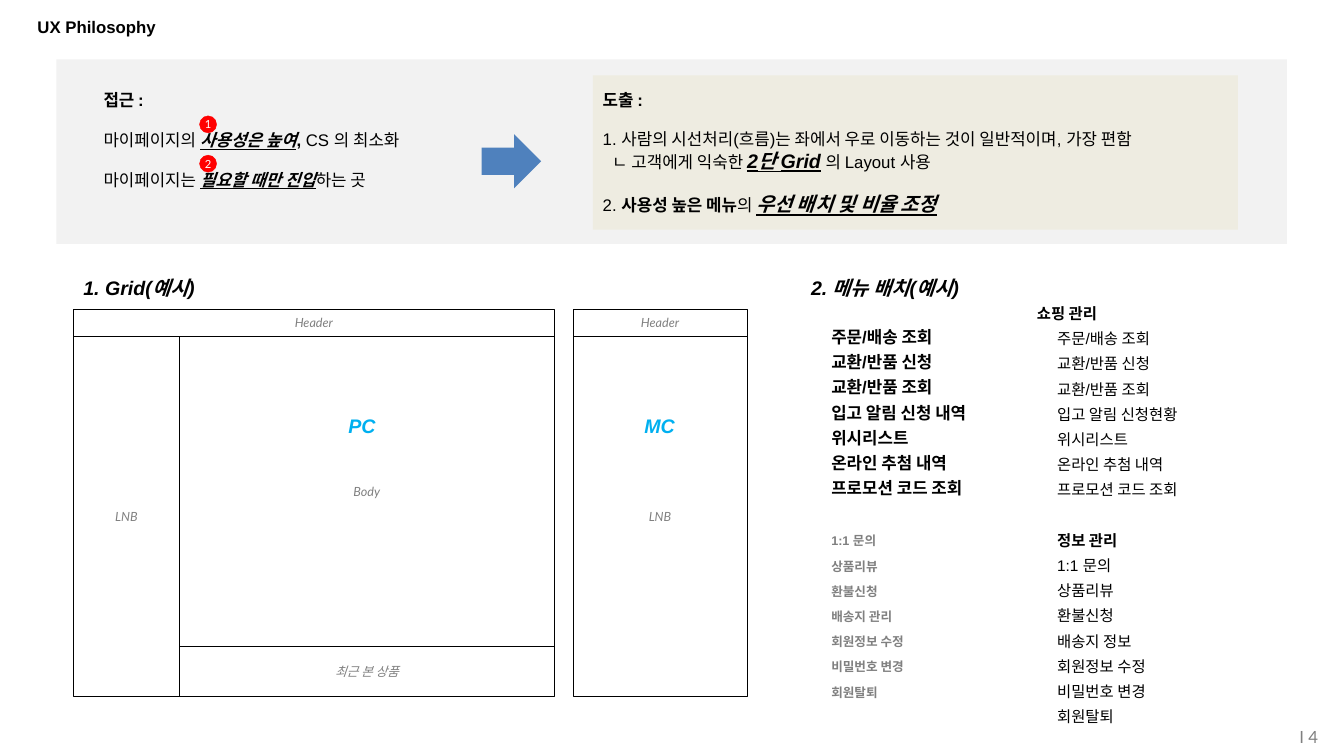
from dataclasses import dataclass

from pptx import Presentation
from pptx.dml.color import RGBColor
from pptx.enum.shapes import MSO_SHAPE
from pptx.enum.text import MSO_ANCHOR, MSO_AUTO_SIZE, PP_ALIGN
from pptx.util import Cm, Pt


@dataclass(frozen=True)
class Theme:
    black: str = "000000"
    white: str = "FFFFFF"
    grey: str = "808080"
    panel: str = "F2F2F2"
    beige: str = "EEECE1"
    blue: str = "4F81BD"
    cyan: str = "00B0F0"
    red: str = "FF0000"
    main_font: str = "Arial"
    label_font: str = "Lato"
    heading: int = 14
    body: int = 12
    menu: int = 11
    small: int = 9
    badge: int = 8


theme = Theme()


def add_box(page, place, kind=None, fill=None, line=None):
    """Add a text box, or a preset shape when a kind is given."""
    lengths = [Cm(value) for value in place]
    if kind is None:
        return page.shapes.add_textbox(*lengths)
    box = page.shapes.add_shape(kind, *lengths)
    box.shadow.inherit = False
    if fill:
        box.fill.solid()
        box.fill.fore_color.rgb = RGBColor.from_string(fill)
    else:
        box.fill.background()
    if line:
        box.line.color.rgb = RGBColor.from_string(line)
        box.line.width = Pt(0.25)
    else:
        box.line.fill.background()
    return box


def write(box, rows, size=theme.body, color=theme.black, font=theme.main_font,
          align=PP_ALIGN.LEFT, anchor=MSO_ANCHOR.MIDDLE, inset=None, leading=None):
    """Rows hold (spans, space before, indent); spans hold (text, marks, size, color).

    Marks are any of b (bold), i (italic) and u (underlined).
    """
    frame = box.text_frame
    frame.word_wrap = True
    frame.auto_size = MSO_AUTO_SIZE.NONE
    frame.vertical_anchor = anchor
    if inset is not None:
        frame.margin_left = frame.margin_right = Cm(inset)
        frame.margin_top = frame.margin_bottom = Cm(inset)
    for index, (spans, gap, indent) in enumerate(rows):
        para = frame.paragraphs[0] if index == 0 else frame.add_paragraph()
        para.alignment = align
        if gap:
            para.space_before = Pt(gap)
        if leading:
            para.line_spacing = Pt(leading)
        if indent:
            para._p.get_or_add_pPr().set("marL", str(Cm(indent)))
        for text, marks, *special in spans:
            span = para.add_run()
            span.text = text
            span.font.name = font
            span.font.size = Pt(special[0] if special else size)
            span.font.color.rgb = RGBColor.from_string(special[1] if special[1:] else color)
            span.font.bold = "b" in marks
            span.font.italic = "i" in marks
            span.font.underline = "u" in marks


deck = Presentation()
deck.slide_width, deck.slide_height = Cm(33.87), Cm(19.05)
page = deck.slides.add_slide(deck.slide_layouts[5])

# Title and page number
title = page.shapes.title
title.left, title.top, title.width, title.height = Cm(0.69), Cm(0.18), Cm(32.49), Cm(0.97)
write(title, [([("UX Philosophy", "b")], 0, 0)])
write(add_box(page, (28.32, 18.06, 4.9, 0.99)), [([("I 4", "")], 0, 0)],
      color=theme.grey, font=theme.label_font, align=PP_ALIGN.RIGHT, inset=0)

# Approach on the left of the grey panel
add_box(page, (1.42, 1.5, 31.01, 4.65), MSO_SHAPE.RECTANGLE, theme.panel)
write(add_box(page, (2.36, 1.9, 9.12, 3.25)), [
    ([("접근 :", "b")], 0, 0),
    ([("마이페이지의 ", ""), ("사용성은 높여", "biu"), (", ", "b"), ("CS 의 최소화", "")], 14, 0),
    ([("마이페이지는 ", ""), ("필요할 때만 진입", "biu"), ("하는 곳", "")], 14, 0),
])
for number, top in (("1", 2.92), ("2", 3.91)):
    badge = add_box(page, (5.03, top, 0.43, 0.43), MSO_SHAPE.OVAL, theme.red, theme.red)
    write(badge, [([(number, "")], 0, 0)], theme.badge, theme.white, theme.label_font,
          PP_ALIGN.CENTER, inset=0)

# Arrow and conclusion
add_box(page, (12.14, 3.38, 1.5, 1.37), MSO_SHAPE.RIGHT_ARROW, theme.blue)
conclusion = add_box(page, (14.94, 1.9, 16.26, 3.89), MSO_SHAPE.RECTANGLE, theme.beige)
write(conclusion, [
    ([("도출 :", "b")], 0, 0),
    ([("1. 사람의 시선처리(흐름)는 좌에서 우로 이동하는 것이 일반적이며, 가장 편함", "")], 14, 0),
    ([("ㄴ 고객에게 익숙한 ", ""), ("2단 Grid", "biu", theme.heading),
      (" 의 Layout 사용", "")], 0, 0.24),
    ([("2. ", ""), ("사용성 높은 메뉴", "b"), ("의 ", ""),
      ("우선 배치 및 비율 조정", "biu", theme.heading)], 14, 0),
])

# Section captions
for caption, left, width in (("1. Grid(예시)", 1.85, 3.8), ("2. 메뉴 배치(예시)", 20.19, 4.9)):
    write(add_box(page, (left, 6.65, width, 1.19)), [([(caption, "bi")], 0, 0)], theme.heading)

# Wireframes, drawn from shared edges
pc_left, body_left, pc_right = 1.85, 4.52, 13.97
mc_left, mc_right = 14.45, 18.82
header_top, body_top, recent_top, bottom = 7.78, 8.48, 16.28, 17.55
for label, left, top, right, low in (
    ("Header", pc_left, header_top, pc_right, body_top),
    ("최근 본 상품", body_left, recent_top, pc_right, bottom),
    ("LNB", pc_left, body_top, body_left, bottom),
    ("Body", body_left, body_top, pc_right, recent_top),
    ("Header", mc_left, header_top, mc_right, body_top),
    ("LNB", mc_left, body_top, mc_right, bottom),
):
    area = add_box(page, (left, top, right - left, low - top), MSO_SHAPE.RECTANGLE,
                   line=theme.black)
    write(area, [([(label, "i")], 0, 0)], theme.small, theme.grey, theme.label_font,
          PP_ALIGN.CENTER, inset=0.1)
for device, left in (("PC", 7.92), ("MC", 15.42)):
    write(add_box(page, (left, 10.13, 2.41, 1.19)), [([(device, "bi")], 0, 0)],
          theme.heading, theme.cyan, align=PP_ALIGN.CENTER)

# Current menu: main items, then minor items
main_items = ["주문/배송 조회", "교환/반품 신청", "교환/반품 조회", "입고 알림 신청 내역",
              "위시리스트", "온라인 추첨 내역", "프로모션 코드 조회"]
minor_items = ["1:1 문의", "상품리뷰", "환불신청", "배송지 관리", "회원정보 수정",
               "비밀번호 변경", "회원탈퇴"]
line_height = 18
rows = [([(item, "b")], 0, 0) for item in main_items]
rows += [([(item, "b", theme.small, theme.grey)], 0 if index else line_height, 0)
         for index, item in enumerate(minor_items)]
write(add_box(page, (20.7, 7.98, 4.9, 9.17)), rows, anchor=MSO_ANCHOR.TOP, leading=line_height)

# Grouped menu: the same items with two renamed
shopping = [item.replace("신청 내역", "신청현황") for item in main_items]
information = [item.replace("배송지 관리", "배송지 정보") for item in minor_items]
indent = 0.51
rows = [([("쇼핑 관리", "b")], 0, 0)]
rows += [([(item, "")], 0, indent) for item in shopping]
rows += [([("정보 관리", "b")], line_height, indent)]
rows += [([(item, "")], 0, indent) for item in information]
write(add_box(page, (25.88, 7.37, 5.28, 10.41)), rows, theme.menu,
      anchor=MSO_ANCHOR.TOP, leading=line_height)

deck.save("out.pptx")
